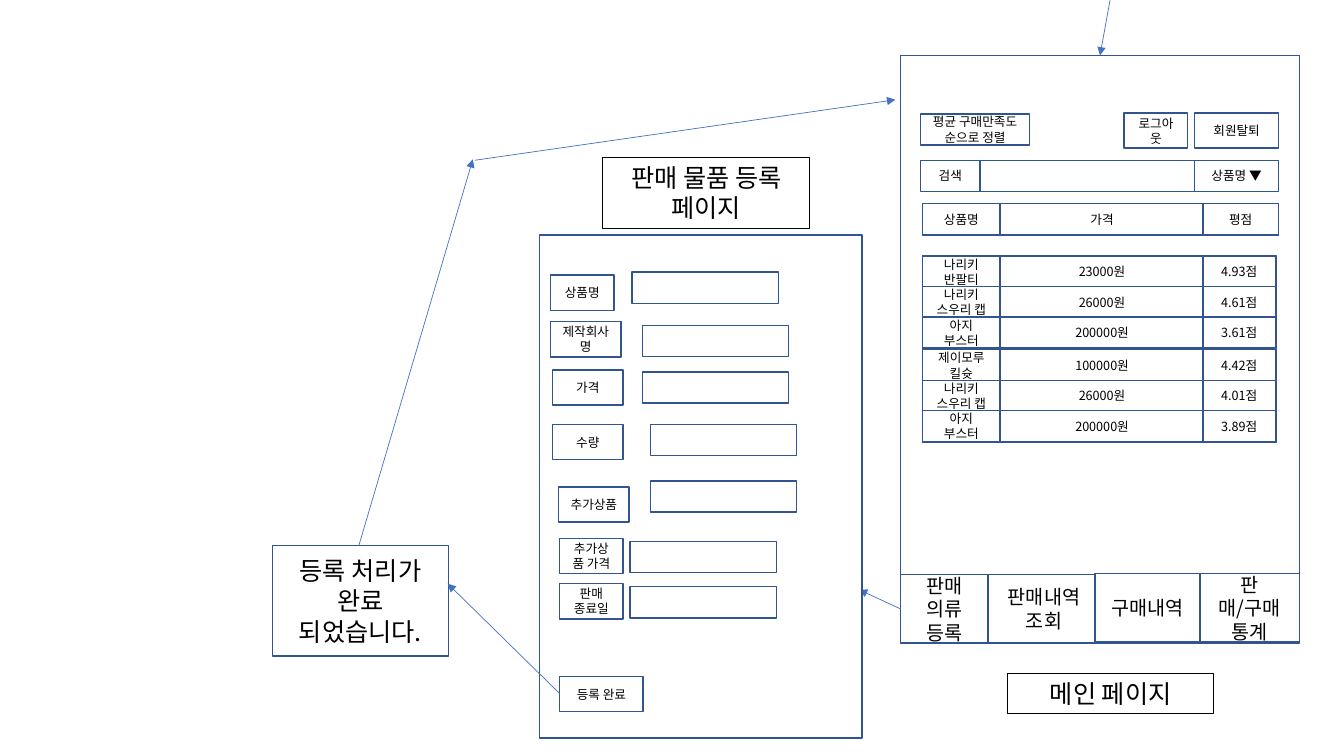
"""Build a wireframe slide of a shop's main page and its product registration page."""
from lxml.etree import SubElement
from pptx import Presentation
from pptx.dml.color import RGBColor
from pptx.enum.shapes import MSO_CONNECTOR, MSO_SHAPE
from pptx.enum.text import MSO_ANCHOR, PP_ALIGN
from pptx.oxml.ns import qn
from pptx.util import Inches, Pt

FONT = "Noto Sans CJK KR"
COLORS = {"paper": "FFFFFF", "border": "325491", "arrow": "4472C4", "ink": "000000"}

MAIN_PAGE = (8.93, 0.55, 3.96, 5.83)
FORM_PAGE = (5.35, 2.33, 3.2, 4.99)

MAIN_CONTROLS = [
    ("로그아웃", (11.15, 1.12, 0.63, 0.35)),
    ("회원탈퇴", (11.85, 1.12, 0.83, 0.35)),
    ("평균 구매만족도 순으로 정렬", (9.13, 1.13, 1.08, 0.31)),
    ("", (9.72, 1.59, 2.13, 0.31)),
    ("검색", (9.13, 1.59, 0.59, 0.31)),
    ("상품명 ▼", (11.85, 1.59, 0.83, 0.31)),
    ("", (9.17, 2.02, 3.51, 0.31)),
    ("상품명", (9.15, 2.02, 0.77, 0.31)),
    ("가격", (9.92, 2.02, 2.02, 0.31)),
    ("평점", (11.93, 2.02, 0.75, 0.31)),
]

PRODUCT_GROUPS = [
    (2.54, [("나리키 반팔티", "23000원", "4.93점"),
            ("나리키 스우리 캡", "26000원", "4.61점"),
            ("아지 부스터", "200000원", "3.61점")]),
    (3.47, [("제이모루 킬슛", "100000원", "4.42점"),
            ("나리키 스우리 캡", "26000원", "4.01점"),
            ("아지 부스터", "200000원", "3.89점")]),
]
PRODUCT_COLUMNS = [(9.15, 0.77), (9.92, 2.02), (11.93, 0.72)]
PRODUCT_LEFT, PRODUCT_WIDTH = 9.15, 3.51
ROW_STEP, ROW_HEIGHT = 0.302, 0.31

TABS = [
    ("판매 의류 등록", (8.93, 5.7, 0.87, 0.68)),
    ("판매내역 조회", (9.8, 5.7, 1.11, 0.68)),
    ("구매내역", (10.86, 5.69, 1.04, 0.68)),
    ("판매/구매 통계", (11.9, 5.69, 0.99, 0.68)),
]

LABEL_HEIGHT, INPUT_SIZE = 0.35, (1.45, 0.31)
FORM_FIELDS = [
    ("상품명", (5.46, 2.73, 0.63), (6.27, 2.7)),
    ("제작회사명", (5.46, 3.19, 0.7), (6.37, 3.23)),
    ("가격", (5.48, 3.67, 0.7), (6.37, 3.69)),
    ("수량", (5.48, 4.21, 0.7), (6.45, 4.21)),
    ("추가상품", (5.54, 4.83, 0.7), (6.45, 4.77)),
    ("추가상품 가격", (5.55, 5.34, 0.63), (6.25, 5.37)),
    ("판매 종료일", (5.55, 5.79, 0.63), (6.25, 5.82)),
]
SUBMIT = ("등록 완료", (5.55, 6.71, 0.83, 0.35))
DONE_MESSAGE = ("등록 처리가 완료 되었습니다.", (2.7, 5.41, 1.75, 1.1))

PAGE_TITLES = [
    ("메인 페이지", (9.99, 6.68, 2.05, 0.4)),
    ("판매 물품 등록 페이지", (5.98, 1.56, 2.05, 0.71)),
]

ARROWS = [
    ((11.01, 0), (10.91, 0.55)),
    ((8.93, 6.04), (8.52, 5.85)),
    ((5.55, 6.88), (4.44, 5.79)),
    ((3.56, 5.41), (4.69, 1.58)),
    ((4.71, 1.59), (8.88, 0.99)),
]


def rgb(name):
    """Return a palette colour."""
    return RGBColor.from_string(COLORS[name])


def write(sp, text, size=9, anchor=MSO_ANCHOR.MIDDLE):
    """Put centred, wrapping text into a shape."""
    tf = sp.text_frame
    tf.word_wrap = True
    tf.vertical_anchor = anchor
    p = tf.paragraphs[0]
    p.alignment = PP_ALIGN.CENTER
    r = p.add_run()
    r.text = text
    r.font.size = Pt(size)
    r.font.name = FONT
    r.font.color.rgb = rgb("ink")
    SubElement(r.font._element, qn("a:ea"), typeface=FONT)


def box(s, at, text="", size=9):
    """Draw a bordered white rectangle with optional text."""
    sp = s.shapes.add_shape(MSO_SHAPE.RECTANGLE, *map(Inches, at))
    sp.shadow.inherit = False
    sp.fill.solid()
    sp.fill.fore_color.rgb = rgb("paper")
    sp.line.color.rgb = rgb("border")
    sp.line.width = Pt(1)
    if text:
        write(sp, text, size=size)


def title(s, at, text):
    """Draw an outlined page title."""
    sp = s.shapes.add_textbox(*map(Inches, at))
    sp.line.color.rgb = rgb("ink")
    sp.line.width = Pt(0.75)
    write(sp, text, size=18, anchor=MSO_ANCHOR.TOP)


def arrow(s, start, end):
    """Draw a thin line with a triangle at its end."""
    c = s.shapes.add_connector(MSO_CONNECTOR.STRAIGHT, *map(Inches, start + end))
    c.line.color.rgb = rgb("arrow")
    c.line.width = Pt(0.5)
    SubElement(c.line._get_or_add_ln(), qn("a:tailEnd"), type="triangle")
    SubElement(c._element.spPr, qn("a:effectLst"))


prs = Presentation()
prs.slide_width, prs.slide_height = Inches(13.33), Inches(7.5)
s = prs.slides.add_slide(prs.slide_layouts[6])

box(s, MAIN_PAGE)
for text, at in MAIN_CONTROLS:
    box(s, at, text)
for top, products in PRODUCT_GROUPS:
    for i, product in enumerate(products):
        y = top + i * ROW_STEP
        box(s, (PRODUCT_LEFT, y, PRODUCT_WIDTH, ROW_HEIGHT))
        for (x, width), text in zip(PRODUCT_COLUMNS, product):
            box(s, (x, y, width, ROW_HEIGHT), text)
for text, at in TABS:
    box(s, at, text, size=14)
for start, end in ARROWS[:2]:
    arrow(s, start, end)

box(s, FORM_PAGE)
for text, label, field in FORM_FIELDS:
    box(s, field + INPUT_SIZE)
    box(s, label + (LABEL_HEIGHT,), text)
box(s, SUBMIT[1], SUBMIT[0])
box(s, DONE_MESSAGE[1], DONE_MESSAGE[0], size=18)
for start, end in ARROWS[2:]:
    arrow(s, start, end)
for text, at in PAGE_TITLES:
    title(s, at, text)

prs.save("out.pptx")
